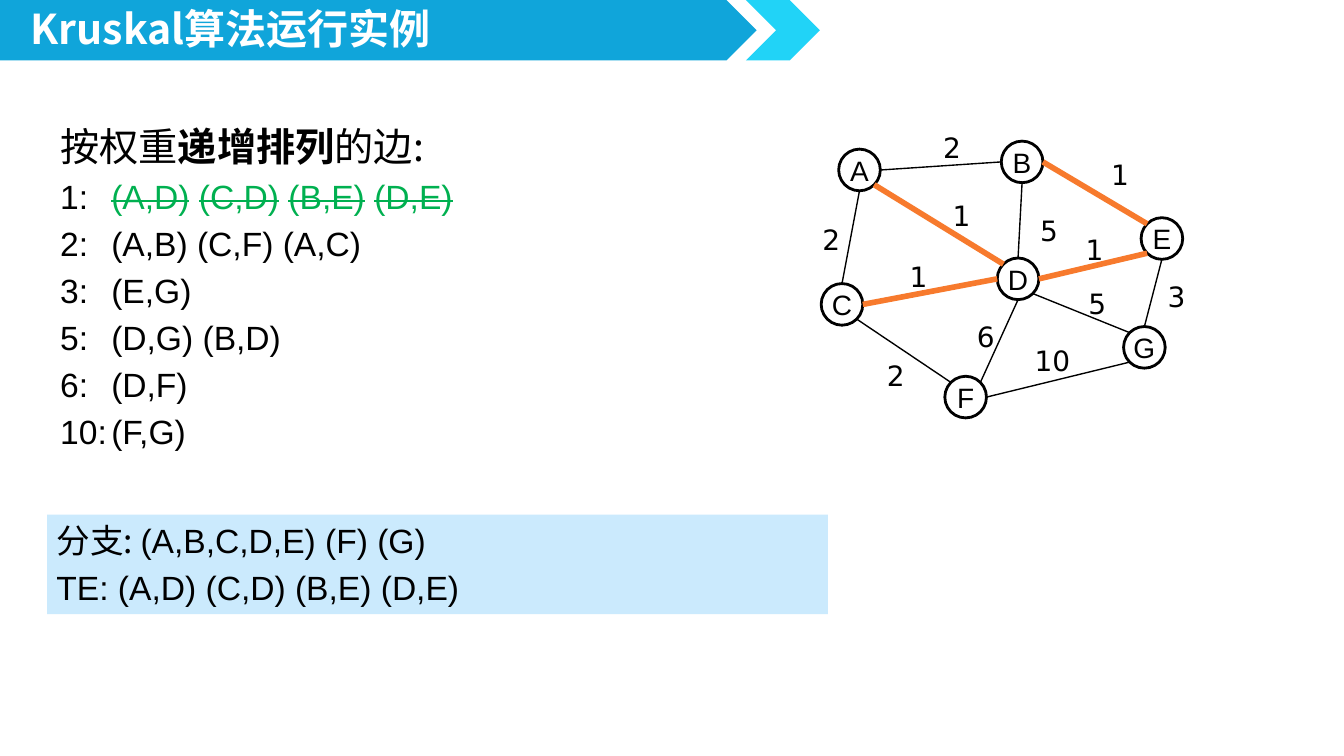
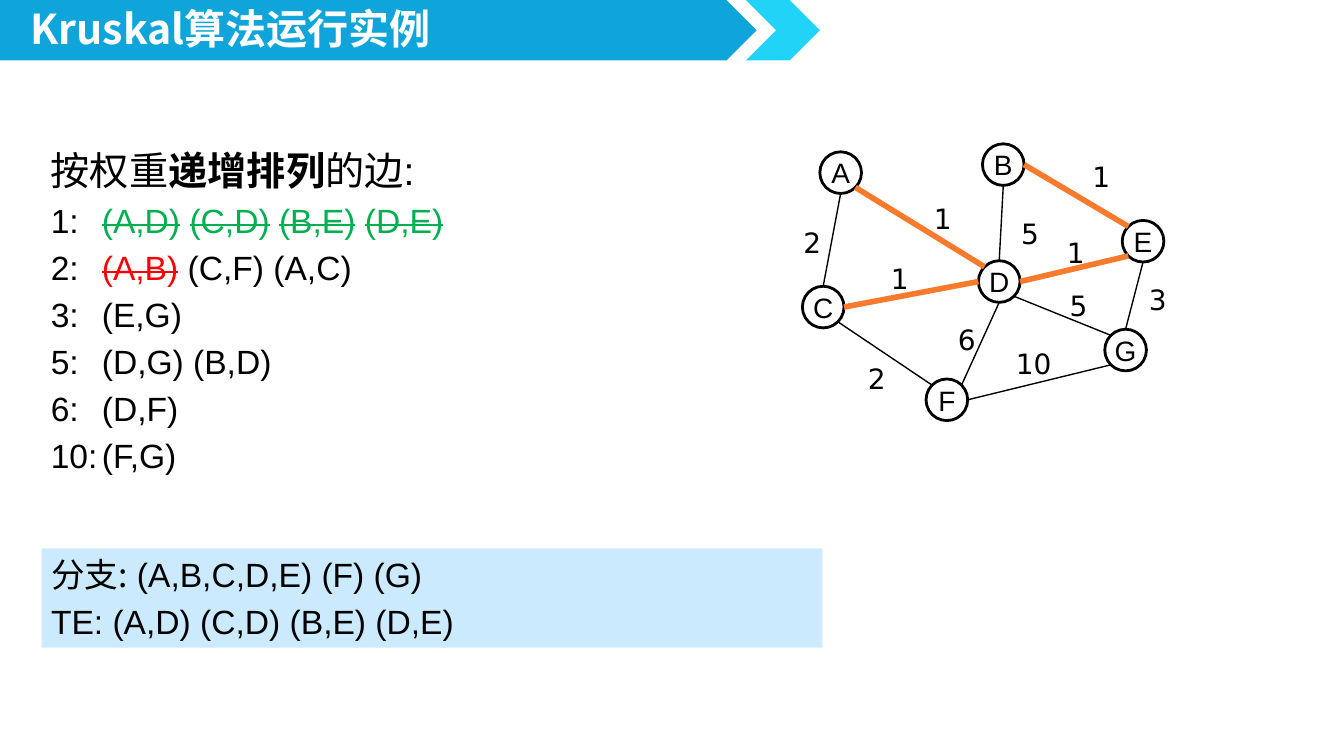
from math import cos, radians, sin

from lxml import etree
from pptx import Presentation
from pptx.dml.color import RGBColor
from pptx.enum.shapes import MSO_CONNECTOR, MSO_SHAPE
from pptx.enum.text import MSO_ANCHOR, MSO_AUTO_SIZE, PP_ALIGN
from pptx.oxml.ns import qn
from pptx.util import Inches, Pt

LINE = MSO_CONNECTOR.STRAIGHT
PLATE, CHEVRON = MSO_SHAPE.PENTAGON, MSO_SHAPE.CHEVRON
RECT, OVAL = MSO_SHAPE.RECTANGLE, MSO_SHAPE.OVAL
TOP, MIDDLE = MSO_ANCHOR.TOP, MSO_ANCHOR.MIDDLE
GROW, FIXED = MSO_AUTO_SIZE.SHAPE_TO_FIT_TEXT, MSO_AUTO_SIZE.NONE
LEFT, CENTER = PP_ALIGN.LEFT, PP_ALIGN.CENTER

COLORS = {"band": "10A5DA", "tip": "21D3F7", "panel": "CBEAFD",
          "ink": "000000", "white": "FFFFFF", "tree": "F77A2D",
          "taken": "00B050", "dropped": "FF0000"}
HAN, LATIN, DIGIT = "Noto Sans CJK SC", "Arial", "DejaVu Sans"

# Content
TITLE = "Kruskal算法运行实例"
ROWS = [("1", ["A,D", "C,D", "B,E", "D,E"]),
        ("2", ["A,B", "C,F", "A,C"]),
        ("3", ["E,G"]),
        ("5", ["D,G", "B,D"]),
        ("6", ["D,F"]),
        ("10", ["F,G"])]
PARTS = ["A,B,C,D,E", "F", "G"]

# Graph: left and top of each node
SIZE = 0.31
NODES = {"A": (6.24, 1.11), "B": (7.45, 1.05), "C": (6.11, 2.11),
         "D": (7.42, 1.92), "F": (7.03, 2.8), "E": (8.49, 1.62),
         "G": (8.36, 2.43)}
# Edge: side of each end, then left and top of its weight
EDGES = {"A,C": ("S", "N", 6.02, 1.61), "A,B": ("E", "W", 6.92, 0.92),
         "B,D": ("S", "N", 7.64, 1.54), "A,D": ("SE", "NW", 6.99, 1.43),
         "C,D": ("E", "W", 6.67, 1.88), "D,E": ("E", "SW", 7.98, 1.68),
         "B,E": ("E", "NW", 8.17, 1.12), "C,F": ("SE", "NW", 6.5, 2.62),
         "D,F": ("S", "NE", 7.17, 2.33), "D,G": ("SE", "NW", 8, 2.08),
         "E,G": ("S", "N", 8.59, 2.03), "F,G": ("E", "SW", 7.6, 2.51)}
SIDES = ["E", "SE", "S", "SW", "W", "NW", "N", "NE"]

# Slides: "mark" is the font of the heading's colon, "gap" of the panel's space
SLIDES = [
    {"taken": ["A,D", "C,D", "B,E", "D,E"], "dropped": [],
     "mark": HAN, "gap": HAN,
     "list": (0.35, 0.86, 9, 2.74), "panel": (0.35, 3.83, 5.81, 0.74),
     "shift": (0, 0)},
    {"taken": ["A,D", "C,D", "B,E", "D,E"], "dropped": ["A,B"],
     "mark": LATIN, "gap": LATIN,
     "list": (0.28, 1.04, 9, 2.72), "panel": (0.31, 4.08, 5.81, 0.74),
     "shift": (-0.14, 0.02)},
]


def rgb(name):
    return RGBColor.from_string(COLORS[name])


def pairs(items):
    return " ".join(f"({item})" for item in items)


def write(shape, paras, size=18, font=LATIN, color="ink", bold=False,
          align=LEFT, anchor=TOP, wrap=False, fit=FIXED, hang=0, tab=0,
          spacing=None):
    """Fill a shape; a paragraph is a list of (text, run format) pairs."""
    frame = shape.text_frame
    frame.word_wrap, frame.auto_size = wrap, fit
    frame.vertical_anchor = anchor
    if isinstance(paras, str):
        paras = [[(paras, {})]]
    for num, runs in enumerate(paras):
        para = frame.add_paragraph() if num else frame.paragraphs[0]
        para.alignment = align
        props = para._p.get_or_add_pPr()
        if hang:
            props.set("marL", str(Inches(hang)))
            props.set("indent", str(-Inches(hang)))
        if num:
            gap = etree.SubElement(props, qn("a:spcBef"))
            etree.SubElement(gap, qn("a:spcPct"), val="20000")
        if num and tab:
            stops = etree.SubElement(props, qn("a:tabLst"))
            etree.SubElement(stops, qn("a:tab"), pos=str(Inches(tab)),
                             algn="l")
        if spacing:
            para.line_spacing = spacing
        for text, form in runs:
            run = para.add_run()
            run.text = text
            face = form.get("font", font)
            run.font.size = Pt(form.get("size", size))
            run.font.bold = form.get("bold", bold)
            run.font.color.rgb = rgb(form.get("color", color))
            run.font.name = face
            mark = run._r.get_or_add_rPr()
            etree.SubElement(mark, qn("a:ea"), typeface=face)
            if form.get("strike"):
                mark.set("strike", "sngStrike")


def box(slide, left, top, width, height):
    return slide.shapes.add_textbox(*map(Inches, (left, top, width, height)))


def block(slide, kind, place, fill=None, line=None):
    shape = slide.shapes.add_shape(kind, *map(Inches, place))
    shape.shadow.inherit = False
    if fill:
        shape.fill.solid()
        shape.fill.fore_color.rgb = rgb(fill)
    else:
        shape.fill.background()
    if line:
        shape.line.color.rgb = rgb(line)
        shape.line.width = Pt(1.5)
    else:
        shape.line.fill.background()
    return shape


def rim(node, side, shift):
    """Point on the circle of a node at a compass side."""
    angle = radians(45 * SIDES.index(side))
    return [Inches(pos + move + SIZE / 2 * (1 + turn)) for pos, move, turn
            in zip(NODES[node], shift, (cos(angle), sin(angle)))]


def draw_bands(slide):
    block(slide, PLATE, (0, 0, 5.63, 0.45), fill="band")
    block(slide, CHEVRON, (5.55, 0, 0.55, 0.45), fill="tip")
    write(box(slide, 0.13, 0.05, 3.31, 0.4), TITLE, size=22, font=HAN,
          color="white", bold=True, fit=GROW, spacing=0.8)


def draw_list(slide, state):
    head = {"size": 21, "font": HAN}
    paras = [[("按权重", head), ("递增排列", {**head, "bold": True}),
              ("的边", head), (":", {**head, "font": state["mark"]})]]
    for weight, edges in ROWS:
        runs = [(f"{weight}:\t", {})]
        for num, edge in enumerate(edges):
            if num:
                runs.append((" ", {}))
            mark = next((key for key in ("taken", "dropped")
                         if edge in state[key]), None)
            form = {"color": mark, "strike": True} if mark else {}
            runs.append((f"({edge})", form))
        paras.append(runs)
    write(box(slide, *state["list"]), paras, wrap=True, hang=0.38, tab=0.52)


def draw_panel(slide, state):
    panel = block(slide, RECT, state["panel"], fill="panel")
    frame = panel.text_frame
    frame.margin_left = frame.margin_right = Inches(0.07)
    frame.margin_top = frame.margin_bottom = Inches(0.04)
    write(panel, [[("分支:", {"font": HAN}), (" ", {"font": state["gap"]}),
                   (pairs(PARTS), {})],
                  [("TE: " + pairs(state["taken"]), {})]],
          wrap=True, fit=GROW, hang=0.28)


def draw_graph(slide, state):
    shift = state["shift"]
    for name, (left, top) in NODES.items():
        place = (left + shift[0], top + shift[1], SIZE, SIZE)
        write(block(slide, OVAL, place, line="ink"), name, size=15,
              align=CENTER, anchor=MIDDLE)
    weights = {edge: weight for weight, edges in ROWS for edge in edges}
    for edge, (start, end, left, top) in EDGES.items():
        if edge in state["dropped"]:
            continue
        first, last = edge.split(",")
        link = slide.shapes.add_connector(
            LINE, *rim(first, start, shift), *rim(last, end, shift))
        etree.SubElement(link._element.spPr, qn("a:effectLst"))
        taken = edge in state["taken"]
        link.line.color.rgb = rgb("tree" if taken else "ink")
        link.line.width = Pt(3 if taken else 0.75)
        weight = weights[edge]
        width = 0.21 + 0.13 * len(weight)
        write(box(slide, left + shift[0], top + shift[1], width, 0.35),
              weight, size=15, font=DIGIT, fit=GROW)


def main():
    deck = Presentation()
    deck.slide_width = Inches(10)
    deck.slide_height = Inches(10 * 9 / 16)
    for state in SLIDES:
        slide = deck.slides.add_slide(deck.slide_layouts[6])
        draw_bands(slide)
        draw_list(slide, state)
        draw_panel(slide, state)
        draw_graph(slide, state)
    deck.save("out.pptx")


if __name__ == "__main__":
    main()
